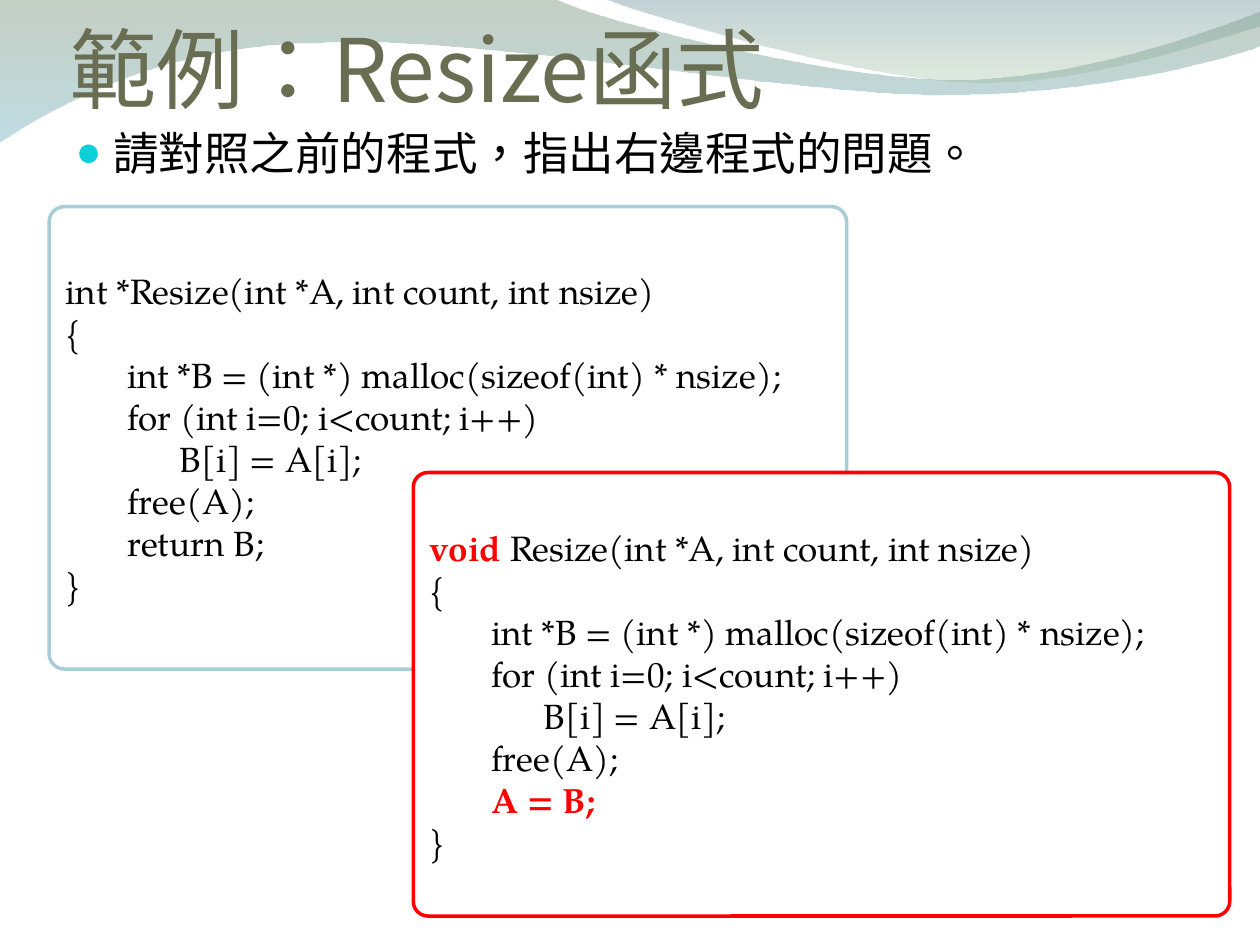
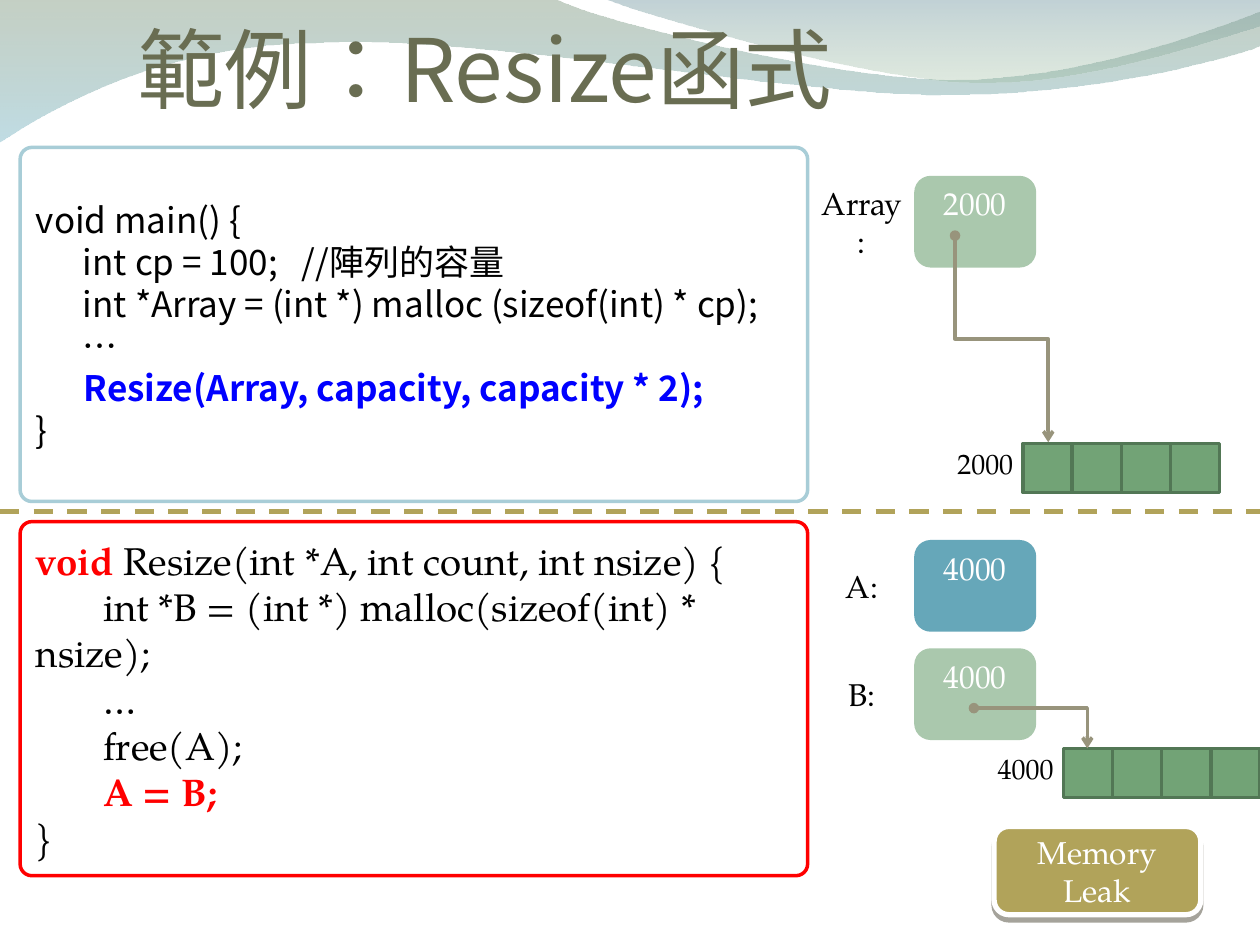
import pptx
import pptx.util
import pptx.dml.color
import pptx.enum.dml
import pptx.enum.lang
import pptx.enum.shapes
import pptx.enum.text
import pptx.oxml.ns
from lxml import etree

Inches = pptx.util.Inches
Pt = pptx.util.Pt
RGBColor = pptx.dml.color.RGBColor
qn = pptx.oxml.ns.qn
SHAPE = pptx.enum.shapes.MSO_SHAPE
CONNECTOR = pptx.enum.shapes.MSO_CONNECTOR
ANCHOR = pptx.enum.text.MSO_ANCHOR
ALIGN = pptx.enum.text.PP_ALIGN

SANS = "Noto Sans CJK SC"
SERIF = "TeX Gyre Pagella"
BLACK = RGBColor(0x00, 0x00, 0x00)
WHITE = RGBColor(0xFF, 0xFF, 0xFF)
RED = RGBColor(0xFF, 0x00, 0x00)
BLUE = RGBColor(0x00, 0x00, 0xFF)
OLIVE = RGBColor(0x69, 0x6D, 0x52)
PALE_BLUE = RGBColor(0xA8, 0xCD, 0xD7)
TEAL = RGBColor(0x66, 0xA7, 0xB9)
PALE_GREEN = RGBColor(0xAA, 0xC8, 0xAD)
GREEN = RGBColor(0x72, 0xA3, 0x76)
DARK_GREEN = RGBColor(0x52, 0x77, 0x55)
GOLD = RGBColor(0xB1, 0xA3, 0x5A)
TAUPE = RGBColor(0x98, 0x94, 0x7C)
WAVE_SAGE = RGBColor(0x7E, 0x97, 0x7E)
WAVE_SKY = RGBColor(0x8C, 0xC0, 0xCE)
WAVE_SLATE = RGBColor(0x75, 0x99, 0xA3)
WAVE_LEAF = RGBColor(0x96, 0xB8, 0x96)

TITLE = "範例：Resize函式"
CODE_RADIUS = 0.033
CELL_RADIUS = 0.167


def write_text(frame, lines, size=20, font=SERIF, color=BLACK,
               align=ALIGN.LEFT, anchor=ANCHOR.MIDDLE):
    """Write lines; a line is a string or a list of runs, where (text, color) is bold."""
    frame.word_wrap = True
    frame.auto_size = pptx.enum.text.MSO_AUTO_SIZE.NONE
    frame.vertical_anchor = anchor
    for index, line in enumerate(lines):
        paragraph = frame.add_paragraph() if index else frame.paragraphs[0]
        paragraph.alignment = align
        paragraph.space_before = Pt(0)
        for part in [line] if isinstance(line, str) else line:
            text, run_color = (part, color) if isinstance(part, str) else part
            run = paragraph.add_run()
            run.text = text
            run.font.size = Pt(size)
            run.font.bold = not isinstance(part, str)
            run.font.color.rgb = run_color
            run.font.name = font
            run.font.language_id = pptx.enum.lang.MSO_LANGUAGE_ID.TRADITIONAL_CHINESE
            etree.SubElement(run._r.get_or_add_rPr(), qn("a:ea"), typeface=font)


def add_box(slide, kind, bounds, fill, line, line_width=2, radius=None):
    shape = slide.shapes.add_shape(kind, *map(Inches, bounds))
    shape.shadow.inherit = False
    shape.fill.solid()
    shape.fill.fore_color.rgb = fill
    shape.line.color.rgb = line
    shape.line.width = Pt(line_width)
    if radius is not None:
        shape.adjustments[0] = radius
    return shape


presentation = pptx.Presentation()
presentation.slide_width = Inches(10)
presentation.slide_height = Inches(7.5)
compare_slide = presentation.slides.add_slide(presentation.slide_layouts[1])
memory_slide = presentation.slides.add_slide(presentation.slide_layouts[5])

# Header waves on the master: two numbers are a line, six are a Bézier curve
waves = [
    ([(0, -0.01), (4.4, -0.01),
      (4.76, 0.17, 6.64, 0.63, 7.58, 0.63), (8.53, 0.63, 9.58, 0.26, 10, 0.09),
      (10.01, 0.36),
      (9.83, 0.44, 8.7, 0.76, 7.46, 0.75), (6.22, 0.75, 3.82, 0.28, 2.57, 0.34),
      (1.29, 0.35, 0.46, 0.83, -0.01, 1.13)],
     [(WAVE_SAGE, 45), (WAVE_SKY, 55)]),
    ([(4.79, -0.01),
      (5.09, 0.11, 6.82, 0.62, 7.69, 0.65), (8.56, 0.69, 9.61, 0.32, 10, 0.21),
      (10, 0)],
     [(WAVE_SLATE, 45), (WAVE_LEAF, 30)]),
]
for position, (segments, stops) in enumerate(waves):
    points = [(Inches(segment[i]), Inches(segment[i + 1]))
              for segment in segments for i in range(0, len(segment), 2)]
    builder = compare_slide.shapes.build_freeform(*points[0])
    builder.add_line_segments(points[1:], close=True)
    wave = builder.convert_to_shape()
    wave.shadow.inherit = False
    wave.line.fill.background()
    wave.fill.gradient()
    wave.fill.gradient_angle = 270
    for stop, (color, opacity) in zip(wave.fill.gradient_stops, stops):
        stop.color.rgb = color
    for rgb, (color, opacity) in zip(wave.element.spPr.iter(qn("a:srgbClr")), stops):
        etree.SubElement(rgb, qn("a:alpha"), val=str(opacity * 1000))
    # Merge each three line points of a curve into one cubic segment
    line_points = iter(list(wave.element.spPr.iter(qn("a:lnTo"))))
    for segment in segments[1:]:
        first = next(line_points)
        if len(segment) == 6:
            curve = etree.Element(qn("a:cubicBezTo"))
            first.addprevious(curve)
            for line_point in (first, next(line_points), next(line_points)):
                curve.append(line_point[0])
                line_point.getparent().remove(line_point)
    presentation.slide_master.shapes.element.insert(2 + position, wave.element)

# Titles
for slide, left in ((compare_slide, 0.55), (memory_slide, 1.09)):
    title = slide.shapes.title
    title.left, title.top, title.width, title.height = map(Inches, (left, 0, 7.58, 0.95))
    frame = title.text_frame
    frame.margin_left = frame.margin_right = frame.margin_bottom = 0
    write_text(frame, [TITLE], size=50, font=SANS, color=OLIVE, anchor=ANCHOR.BOTTOM)

# Slide 1: question
question = compare_slide.placeholders[1]
question.left, question.top, question.width, question.height = map(Inches, (0.5, 0.94, 9, 5.76))
bullet = question.text_frame.paragraphs[0]._p.get_or_add_pPr()
bullet.set("marL", str(Inches(0.3)))
bullet.set("indent", str(Inches(-0.3)))
bullet_color = etree.SubElement(bullet, qn("a:buClr"))
etree.SubElement(bullet_color, qn("a:srgbClr"), val="0BD0D9")
etree.SubElement(bullet, qn("a:buSzPct"), val="95000")
etree.SubElement(bullet, qn("a:buChar"), char="●")
write_text(question.text_frame, ["請對照之前的程式，指出右邊程式的問題。"],
           size=26, font=SANS, anchor=ANCHOR.TOP)

# Code boxes of both slides
resize_body = [
    "{",
    "       int *B = (int *) malloc(sizeof(int) * nsize);",
    "       for (int i=0; i<count; i++)",
    "             B[i] = A[i];",
    "       free(A);",
]
assign_line = ["       ", ("A = B;", RED)]
correct_code = ["int *Resize(int *A, int count, int nsize)", *resize_body, "       return B;", "}"]
faulty_code = [[("void", RED), " Resize(int *A, int count, int nsize)"],
               *resize_body, assign_line, "}"]
main_code = [
    "void main() {",
    "      int cp = 100;   //陣列的容量",
    "      int *Array = (int *) malloc (sizeof(int) * cp);",
    "      …",
    [("      Resize(Array, capacity, capacity * 2);", BLUE)],
    "}",
]
faulty_summary = [
    [("void", RED), " Resize(int *A, int count, int nsize) {"],
    "       int *B = (int *) malloc(sizeof(int) * nsize);",
    "       …",
    "       free(A);",
    assign_line,
    "}",
]
for slide, bounds, border, code, size, font in (
    (compare_slide, (0.39, 1.64, 6.33, 3.67), PALE_BLUE, correct_code, 20, SERIF),
    (compare_slide, (3.28, 3.75, 6.48, 3.52), RED, faulty_code, 20, SERIF),
    (memory_slide, (0.16, 1.17, 6.25, 2.81), PALE_BLUE, main_code, 20, SANS),
    (memory_slide, (0.16, 4.14, 6.25, 2.81), RED, faulty_summary, 22, SERIF),
):
    code_box = add_box(slide, SHAPE.ROUNDED_RECTANGLE, bounds, WHITE, border, radius=CODE_RADIUS)
    write_text(code_box.text_frame, code, size=size, font=font)

# Slide 2: pointer variables
for name, address, top, color in (
    ("Array:", "2000", 1.41, PALE_GREEN),
    ("A:", "4000", 4.3, TEAL),
    ("B:", "4000", 5.16, PALE_GREEN),
):
    variable = add_box(memory_slide, SHAPE.ROUNDED_RECTANGLE, (7.27, top, 0.94, 0.7),
                       color, color, radius=CELL_RADIUS)
    variable.text_frame.margin_top = Inches(0.02)
    write_text(variable.text_frame, [address], size=18, color=WHITE,
               align=ALIGN.CENTER, anchor=ANCHOR.TOP)
    label = memory_slide.shapes.add_textbox(*map(Inches, (6.41, top, 0.86, 0.7)))
    write_text(label.text_frame, [name], size=18, align=ALIGN.CENTER)

# Slide 2: memory blocks of four cells
CELL_SIZE = 0.39
for address, left, top in (("2000", 8.12, 3.52), ("4000", 8.44, 5.94)):
    for index in range(4):
        add_box(memory_slide, SHAPE.RECTANGLE,
                (left + index * CELL_SIZE, top, CELL_SIZE, CELL_SIZE), GREEN, DARK_GREEN)
    label = memory_slide.shapes.add_textbox(*map(Inches, (left - 0.62, top, 0.86, 0.31)))
    write_text(label.text_frame, [address], size=16)

# Slide 2: divider and pointer arrows
divider = memory_slide.shapes.add_connector(
    CONNECTOR.STRAIGHT, *map(Inches, (0, 4.06, 10, 4.06)))
array_arrow = memory_slide.shapes.add_connector(
    CONNECTOR.ELBOW, *map(Inches, (8.77, 2.32, 7.13, 3.06)))
array_arrow.element.spPr.find(qn("a:xfrm")).set("rot", str(270 * 60000))
b_arrow = memory_slide.shapes.add_connector(
    CONNECTOR.ELBOW, *map(Inches, (7.73, 5.62, 8.63, 5.94)))
b_arrow.element.spPr.find(qn("a:prstGeom")).set("prst", "bentConnector2")
for connector, color, width in (
    (divider, GOLD, 2.75), (array_arrow, TAUPE, 2), (b_arrow, TAUPE, 2),
):
    connector.line.color.rgb = color
    connector.line.width = Pt(width)
    properties = connector.element.spPr
    if connector is divider:
        connector.line.dash_style = pptx.enum.dml.MSO_LINE.DASH
    else:
        line = properties.find(qn("a:ln"))
        etree.SubElement(line, qn("a:headEnd"), type="oval")
        etree.SubElement(line, qn("a:tailEnd"), type="arrow")
    etree.SubElement(properties, qn("a:effectLst"))

# Slide 2: conclusion
leak = add_box(memory_slide, SHAPE.ROUNDED_RECTANGLE, (7.89, 6.56, 1.64, 0.7),
               GOLD, WHITE, line_width=3, radius=CELL_RADIUS)
write_text(leak.text_frame, ["Memory Leak"], size=18, color=WHITE, align=ALIGN.CENTER)
shadow = etree.SubElement(leak.element.spPr.find(qn("a:effectLst")), qn("a:outerShdw"),
                          blurRad="0", dist=str(Pt(3)), dir=str(90 * 60000))
shadow_color = etree.SubElement(shadow, qn("a:srgbClr"), val="43402E")
etree.SubElement(shadow_color, qn("a:alpha"), val="48000")

presentation.save("out.pptx")
